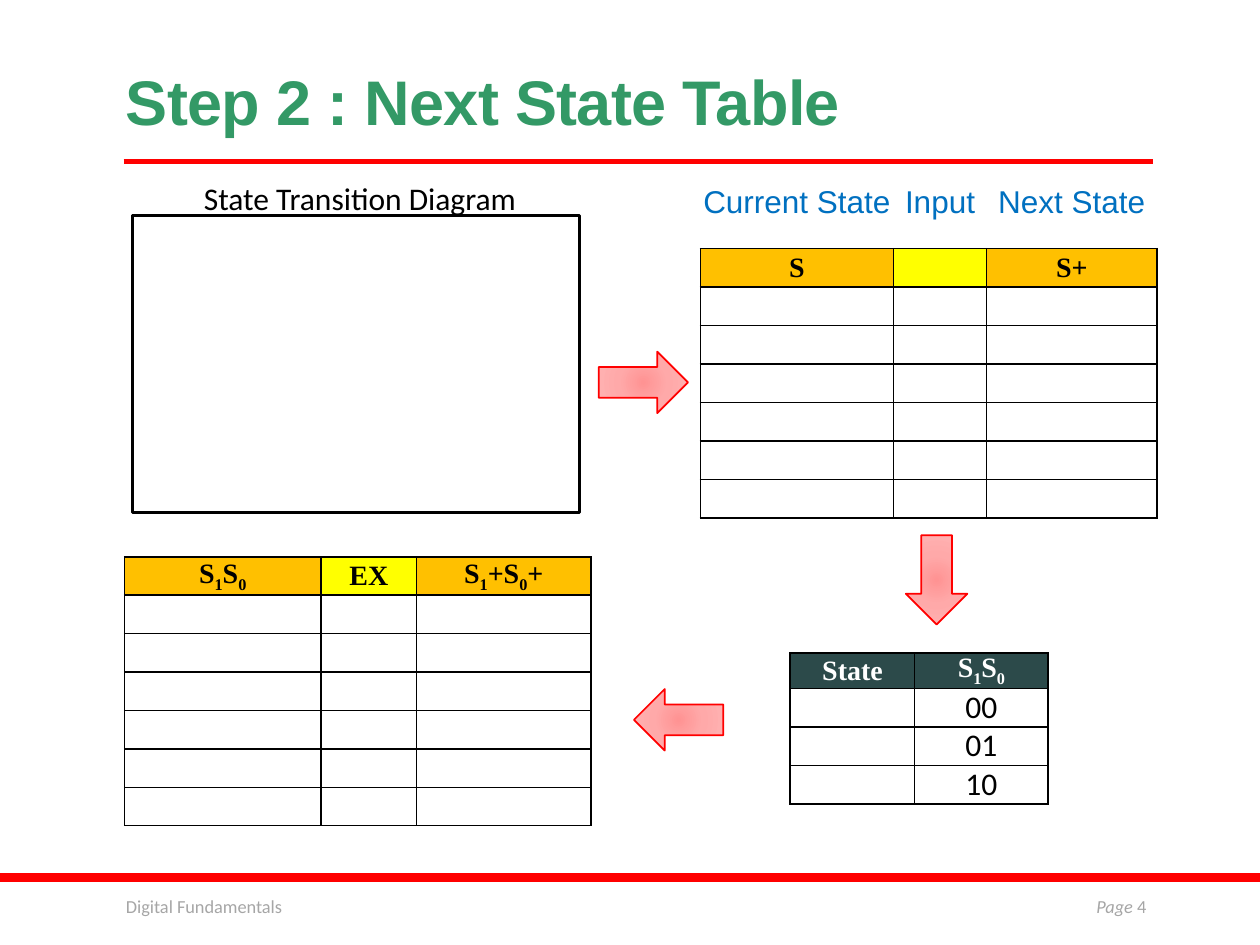
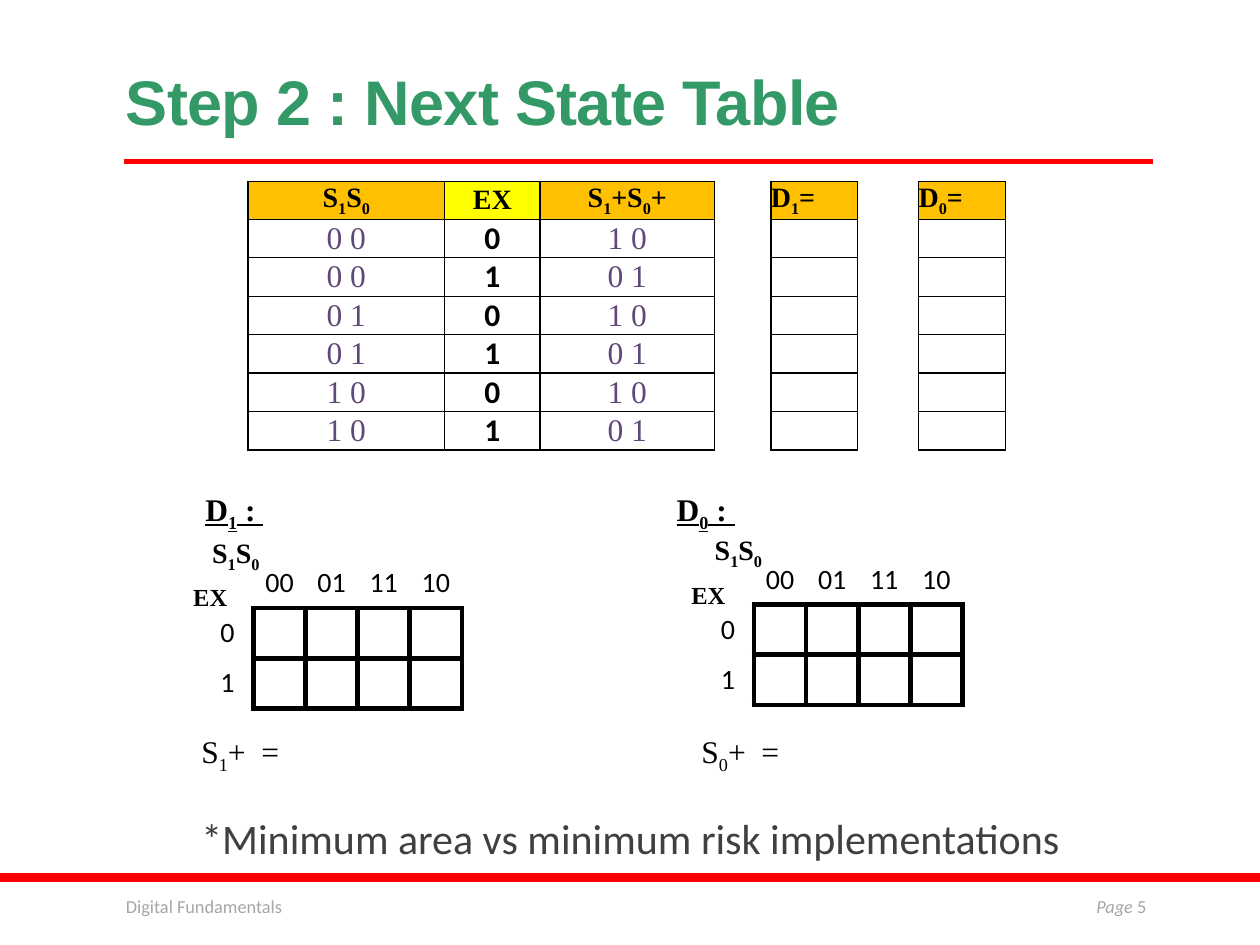
from dataclasses import dataclass, replace
from typing import Optional

from lxml.etree import SubElement, fromstring
from pptx import Presentation
from pptx.dml.color import RGBColor
from pptx.enum.shapes import MSO_CONNECTOR, MSO_SHAPE
from pptx.enum.text import MSO_ANCHOR, MSO_AUTO_SIZE, PP_ALIGN
from pptx.oxml.ns import nsdecls, qn
from pptx.util import Cm, Pt

# Colours
RED = RGBColor(0xFF, 0x00, 0x00)
GREEN = RGBColor(0x33, 0x99, 0x66)
BLUE = RGBColor(0x00, 0x70, 0xC0)
PURPLE = RGBColor(0x60, 0x48, 0x78)
ORANGE = RGBColor(0xFF, 0xC0, 0x00)
YELLOW = RGBColor(0xFF, 0xFF, 0x00)
SLATE = RGBColor(0x2C, 0x4A, 0x4A)
BLACK = RGBColor(0x00, 0x00, 0x00)
WHITE = RGBColor(0xFF, 0xFF, 0xFF)
DARK_GRAY = RGBColor(0x40, 0x40, 0x40)
LIGHT_GRAY = RGBColor(0xA6, 0xA6, 0xA6)
ARROW_STOPS = ((0, "FF9393"), (45, "FFA9A9"), (100, "FFB4B4"))

ROW_HEIGHT = 0.76
ALL_EDGES = "LRTB"


@dataclass(frozen=True)
class TextStyle:
    size: float
    font: str = "Calibri"
    color: RGBColor = BLACK
    bold: bool = False
    italic: bool = False
    underline: bool = False
    align: PP_ALIGN = PP_ALIGN.LEFT


@dataclass(frozen=True)
class TableCell:
    text: str = ""
    style: Optional[TextStyle] = None
    fill: Optional[RGBColor] = WHITE
    edges: str = ALL_EDGES
    anchor: MSO_ANCHOR = MSO_ANCHOR.MIDDLE


@dataclass(frozen=True)
class Grid:
    left: float
    top: float
    widths: list[float]
    heights: list[float]
    rows: list[list[TableCell]]
    border: float = 1
    margins: tuple[float, float] = (0, 0)


@dataclass(frozen=True)
class KarnaughMap:
    bit: str
    title_left: float
    state_label: tuple[float, float]
    input_label: tuple[float, float]
    grid: tuple[float, float]
    result_left: float


# Text styles
TITLE = TextStyle(36, "Arial", GREEN, bold=True)
FOOTER = TextStyle(10.5, color=LIGHT_GRAY)
CAPTION = TextStyle(18)
COLUMN_LABEL = TextStyle(18, "Arial", BLUE, align=PP_ALIGN.CENTER)
HEADER = TextStyle(16, "Times New Roman", bold=True, align=PP_ALIGN.CENTER)
STATE_BITS = TextStyle(18, "Times New Roman", PURPLE, align=PP_ALIGN.CENTER)
CODE = TextStyle(18, align=PP_ALIGN.CENTER)
MAP_CODE = TextStyle(16, align=PP_ALIGN.CENTER)
MAP_TITLE = TextStyle(18, "Times New Roman", bold=True, underline=True)
EQUATION = TextStyle(18, "Times New Roman")


def add_runs(paragraph, text: str, style: TextStyle) -> None:
    """Write text; a character after an underscore becomes a subscript."""
    paragraph.alignment = style.align
    first, *others = text.split("_")
    pieces = [(first, False)]
    for part in others:
        pieces += [(part[0], True), (part[1:], False)]
    for piece, is_subscript in pieces:
        if not piece:
            continue
        run = paragraph.add_run()
        run.text = piece
        font = run.font
        font.size, font.name = Pt(style.size), style.font
        font.bold, font.italic = style.bold, style.italic
        font.underline = style.underline
        font.color.rgb = style.color
        if is_subscript:
            run._r.get_or_add_rPr().set("baseline", "-25000")


def add_text(slide, left: float, top: float, width: float, height: float,
             text: str, style: TextStyle, wrap: bool = True, grow: bool = True):
    box = slide.shapes.add_textbox(Cm(left), Cm(top), Cm(width), Cm(height))
    frame = box.text_frame
    frame.word_wrap = wrap
    frame.auto_size = MSO_AUTO_SIZE.SHAPE_TO_FIT_TEXT if grow else MSO_AUTO_SIZE.NONE
    add_runs(frame.paragraphs[0], text, style)
    return frame


def set_borders(cell, edges: str, width: float) -> None:
    properties = cell._tc.get_or_add_tcPr()
    for position, edge in enumerate(ALL_EDGES):
        paint = '<a:noFill/>'
        if edge in edges:
            paint = '<a:solidFill><a:srgbClr val="000000"/></a:solidFill>'
        line = fromstring(f'<a:ln{edge} {nsdecls("a")} w="{Pt(width)}">{paint}</a:ln{edge}>')
        properties.insert(position, line)


def add_grid(slide, grid: Grid) -> None:
    table = slide.shapes.add_table(
        len(grid.heights), len(grid.widths), Cm(grid.left), Cm(grid.top),
        Cm(sum(grid.widths)), Cm(sum(grid.heights))).table
    table.first_row = table.horz_banding = False
    for column, width in zip(table.columns, grid.widths):
        column.width = Cm(width)
    for row, height in zip(table.rows, grid.heights):
        row.height = Cm(height)
    side, end = grid.margins
    for row, contents in zip(table.rows, grid.rows):
        for cell, content in zip(row.cells, contents):
            cell.margin_left = cell.margin_right = Cm(side)
            cell.margin_top = cell.margin_bottom = Cm(end)
            cell.vertical_anchor = content.anchor
            if content.fill is None:
                cell.fill.background()
            else:
                cell.fill.solid()
                cell.fill.fore_color.rgb = content.fill
            if content.text:
                add_runs(cell.text_frame.paragraphs[0], content.text, content.style)
            set_borders(cell, content.edges, grid.border)


def blank_rows(count: int, columns: int) -> list[list[TableCell]]:
    return [[TableCell()] * columns for _ in range(count)]


def header_row(*titles: str) -> list[TableCell]:
    fills = (ORANGE, YELLOW, ORANGE)
    return [TableCell(title, HEADER, fill) for title, fill in zip(titles, fills)]


def add_encoded_table(slide, left: float, top: float,
                      rows: list[list[TableCell]]) -> None:
    add_grid(slide, Grid(left, top, [3.96, 1.93, 3.51], [ROW_HEIGHT] * 7,
                         [header_row("S_1S_0", "EX", "S_1+S_0+"), *rows]))


def add_block_arrow(slide, left: float, top: float, rotation: int) -> None:
    arrow = slide.shapes.add_shape(
        MSO_SHAPE.RIGHT_ARROW, Cm(left), Cm(top), Cm(1.8), Cm(1.24))
    arrow.rotation = rotation
    arrow.shadow.inherit = False
    arrow.line.color.rgb = RED
    arrow.line.width = Pt(1)
    stops = "".join(f'<a:gs pos="{place * 1000}"><a:srgbClr val="{color}"/></a:gs>'
                    for place, color in ARROW_STOPS)
    gradient = fromstring(
        f'<a:gradFill {nsdecls("a")}><a:gsLst>{stops}</a:gsLst><a:path path="circle">'
        '<a:fillToRect l="100000" t="100000" r="100000" b="100000"/></a:path></a:gradFill>')
    arrow._element.spPr.find(qn("a:prstGeom")).addnext(gradient)


def add_base_slide(presentation, page: int):
    """Add a slide with the shared title, rule, band and footer."""
    slide = presentation.slides.add_slide(presentation.slide_layouts[6])
    band = slide.shapes.add_shape(
        MSO_SHAPE.RECTANGLE, 0, Cm(17.6), presentation.slide_width, Cm(0.18))
    band.shadow.inherit = False
    band.fill.solid()
    band.fill.fore_color.rgb = RED
    band.line.fill.background()

    rule = slide.shapes.add_connector(
        MSO_CONNECTOR.STRAIGHT, Cm(2.49), Cm(3.25), Cm(23.24), Cm(3.25))
    rule.line.color.rgb = RED
    rule.line.width = Pt(3)
    SubElement(rule._element.spPr, qn("a:effectLst"))

    title = add_text(slide, 2.29, 0.79, 20.96, 2.13, "Step 2 : Next State Table",
                     TITLE, grow=False)
    title.vertical_anchor = MSO_ANCHOR.BOTTOM
    title.paragraphs[0].line_spacing = 0.85
    title.paragraphs[0].runs[0]._r.get_or_add_rPr().set("spc", "-40")

    add_text(slide, 2.29, 17.93, 10.06, 1.02, "Digital Fundamentals", FOOTER, grow=False)
    page_style = replace(FOOTER, align=PP_ALIGN.RIGHT)
    footer = add_text(slide, 20.62, 17.93, 2.74, 1.02, "Page ",
                      replace(page_style, italic=True), grow=False)
    add_runs(footer.paragraphs[0], str(page), page_style)
    return slide


def add_karnaugh_map(slide, layout: KarnaughMap) -> None:
    add_text(slide, layout.title_left, 9.75, 1.73, 1.02, f"D_{layout.bit} : ",
             MAP_TITLE, wrap=False)
    codes = [TableCell(code, MAP_CODE, None, "B") for code in ("00", "01", "11", "10")]
    rows = [[TableCell(fill=None, edges=""), *codes]]
    for value in "01":
        rows.append([TableCell(value, MAP_CODE, None, "R"), *[TableCell(fill=None)] * 4])
    add_grid(slide, Grid(*layout.grid, [1.05] * 5, [1.01] * 3, rows, 3, (0.18, 0.08)))
    add_text(slide, *layout.state_label, 1.63, 0.94, "S_1S_0", HEADER)
    add_text(slide, *layout.input_label, 1.22, 0.86, "EX",
             replace(HEADER, size=14), wrap=False)
    add_text(slide, layout.result_left, 14.63, 2.13, 1.02, f"S_{layout.bit}+  =",
             EQUATION, wrap=False)


def build_table_steps(presentation) -> None:
    slide = add_base_slide(presentation, 4)

    # State table with column labels above it
    labels = [TableCell(label, COLUMN_LABEL, None, "B", MSO_ANCHOR.TOP)
              for label in ("Current State", "Input", "Next State")]
    add_grid(slide, Grid(14.12, 3.73, [3.89, 1.88, 3.43], [1.28] + [ROW_HEIGHT] * 7,
                         [labels, header_row("S", "", "S+"), *blank_rows(6, 3)]))

    # Encoded table and state assignment
    add_encoded_table(slide, 2.51, 11.23, blank_rows(6, 3))
    assignment_header = replace(HEADER, color=WHITE)
    assignment = [[TableCell(title, assignment_header, SLATE) for title in ("State", "S_1S_0")]]
    assignment += [[TableCell(), TableCell(code, CODE)] for code in ("00", "01", "10")]
    add_grid(slide, Grid(15.93, 13.16, [2.51, 2.69], [0.7] + [ROW_HEIGHT] * 3, assignment))

    # Arrows from step to step
    for left, top, rotation in ((12.07, 7.09, 0), (17.98, 11.07, 90), (12.78, 13.89, 180)):
        add_block_arrow(slide, left, top, rotation)

    # Empty frame for the diagram
    frame = slide.shapes.add_shape(
        MSO_SHAPE.RECTANGLE, Cm(2.67), Cm(4.34), Cm(9.02), Cm(5.99))
    frame.shadow.inherit = False
    frame.fill.background()
    frame.line.color.rgb = BLACK
    frame.line.width = Pt(1.5)
    add_text(slide, 3.86, 3.48, 6.88, 1.02, "State Transition Diagram", CAPTION, wrap=False)


def build_karnaugh_maps(presentation) -> None:
    slide = add_base_slide(presentation, 5)

    # Encoded table: the input alone decides the next state
    next_states = {"0": "1 0", "1": "0 1"}
    input_style = replace(CODE, bold=True)
    rows = [[TableCell(state, STATE_BITS), TableCell(value, input_style),
             TableCell(next_state, STATE_BITS)]
            for state in ("0 0", "0 1", "1 0")
            for value, next_state in next_states.items()]
    add_encoded_table(slide, 5.0, 3.66, rows)

    # Flip-flop input columns
    column_style = replace(HEADER, align=PP_ALIGN.LEFT)
    for title, left in (("D_1=", 15.54), ("D_0=", 18.52)):
        add_grid(slide, Grid(left, 3.66, [1.75], [ROW_HEIGHT] * 7,
                             [[TableCell(title, column_style, ORANGE)], *blank_rows(6, 1)]))

    # Karnaugh maps
    for layout in (
        KarnaughMap("1", 3.89, (3.94, 10.67), (3.63, 11.61), (4.06, 11.25), 3.81),
        KarnaughMap("0", 13.39, (14.07, 10.62), (13.67, 11.56), (14.15, 11.18), 13.89),
    ):
        add_karnaugh_map(slide, layout)

    # Closing remark
    remark = add_text(slide, 3.81, 16.36, 19.99, 1.17,
                      "*Minimum area vs minimum risk implementations",
                      TextStyle(24, color=DARK_GRAY)).paragraphs[0]
    remark.line_spacing = 0.9
    remark.space_before, remark.space_after = Pt(9), Pt(1.5)


presentation = Presentation()
presentation.slide_width, presentation.slide_height = Cm(25.4), Cm(19.05)
build_table_steps(presentation)
build_karnaugh_maps(presentation)
presentation.save("out.pptx")
